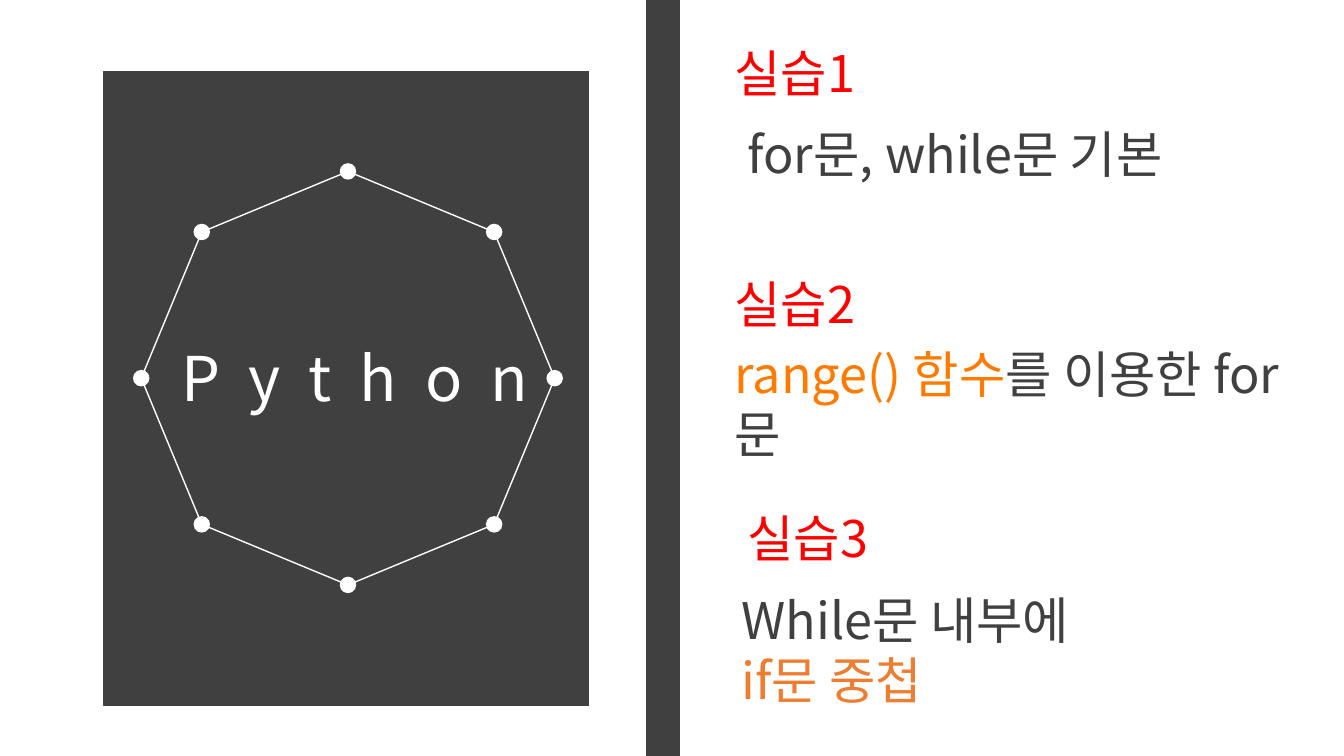
from math import cos, pi, sin

from lxml.etree import SubElement
from pptx import Presentation
from pptx.dml.color import RGBColor
from pptx.enum.shapes import MSO_SHAPE as Preset
from pptx.enum.text import MSO_ANCHOR as Anchor, MSO_AUTO_SIZE as AutoSize, PP_ALIGN as Align
from pptx.oxml.ns import qn
from pptx.util import Cm, Pt

FONT = "Noto Sans CJK KR"
DARK = RGBColor(0x40, 0x40, 0x40)
WHITE = RGBColor(0xFF, 0xFF, 0xFF)
RED = RGBColor(0xFF, 0x00, 0x00)
ORANGE = RGBColor(0xFF, 0x7B, 0x00)
RUST = RGBColor(0xED, 0x7D, 0x31)

# Each exercise: heading, its corner, body corner, body lines of coloured runs (cm)
EXERCISES = [
    ("실습1", (18.26, 0.94), (18.59, 2.97),
     [[("for문, while문 기본", DARK)]]),
    ("실습2", (18.26, 6.76), (18.26, 8.51),
     [[("range() 함수", ORANGE), ("를 이용한 for문", DARK)]]),
    ("실습3", (18.59, 12.65), (18.44, 14.71),
     [[("While문 내부에", DARK)], [("if문 중첩", RUST)]]),
]
TEXT_WIDTH, LINE_HEIGHT = 14.95, 1.52


def add_shape(slide, preset, left, top, width, height, fill, line):
    shape = slide.shapes.add_shape(preset, Cm(left), Cm(top), Cm(width), Cm(height))
    shape.shadow.inherit = False
    if fill is None:
        shape.fill.background()
    else:
        shape.fill.solid()
        shape.fill.fore_color.rgb = fill
    shape.line.color.rgb = line
    shape.line.width = Pt(1)
    return shape


def write_line(paragraph, runs, size, spacing=None):
    paragraph.font.size = Pt(size)
    paragraph.font.name = FONT
    for text, color in runs:
        run = paragraph.add_run()
        run.text = text
        run.font.color.rgb = color
        properties = run._r.get_or_add_rPr()
        SubElement(properties, qn("a:ea")).set("typeface", FONT)
        if spacing:
            properties.set("spc", str(spacing * 100))


def add_lines(slide, left, top, lines):
    box = slide.shapes.add_textbox(Cm(left), Cm(top), Cm(TEXT_WIDTH),
                                   Cm(0.28 + LINE_HEIGHT * len(lines)))
    frame = box.text_frame
    frame.word_wrap = True
    for number, runs in enumerate(lines):
        paragraph = frame.add_paragraph() if number else frame.paragraphs[0]
        write_line(paragraph, runs, 36)


def add_ring(slide, center_x, center_y, radius):
    # Octagon turned so that its corners meet the dots
    side = 2 * radius * cos(pi / 8)
    octagon = add_shape(slide, Preset.OCTAGON, center_x - side / 2,
                        center_y - side / 2, side, side, None, WHITE)
    octagon.rotation = 247.5
    # Dots on the eight corners
    dot = 0.38
    for corner in range(8):
        angle = corner * pi / 4
        add_shape(slide, Preset.OVAL, center_x + radius * cos(angle) - dot / 2,
                  center_y + radius * sin(angle) - dot / 2, dot, dot, WHITE, WHITE)


def add_cover(slide, left, top, width, height):
    add_shape(slide, Preset.RECTANGLE, left, top, width, height, DARK, DARK)
    add_ring(slide, left + 6.15, top + 7.73, 5.21)
    # Title, raised above the panel
    title = slide.shapes.title
    title.left, title.top = Cm(left + 1.11), Cm(top + 6.63)
    title.width, title.height = Cm(10.44), Cm(2.13)
    slide.shapes._spTree.append(title._element)
    frame = title.text_frame
    frame.word_wrap = False
    frame.auto_size = AutoSize.NONE
    frame.vertical_anchor = Anchor.TOP
    frame.paragraphs[0].alignment = Align.CENTER
    write_line(frame.paragraphs[0], [("Python", WHITE)], 44, spacing=20)


def add_exercises(slide):
    for heading, heading_at, body_at, body in EXERCISES:
        add_lines(slide, *heading_at, [[(heading, RED)]])
        add_lines(slide, *body_at, body)


def main():
    deck = Presentation()
    deck.slide_width, deck.slide_height = Cm(33.87), Cm(19.05)
    slide = deck.slides.add_slide(deck.slide_layouts[5])
    add_cover(slide, 2.62, 1.8, 12.22, 15.98)
    # Divider
    add_shape(slide, Preset.RECTANGLE, 16.31, 0, 0.81, 19.05, DARK, DARK)
    add_exercises(slide)
    deck.save("out.pptx")


if __name__ == "__main__":
    main()
